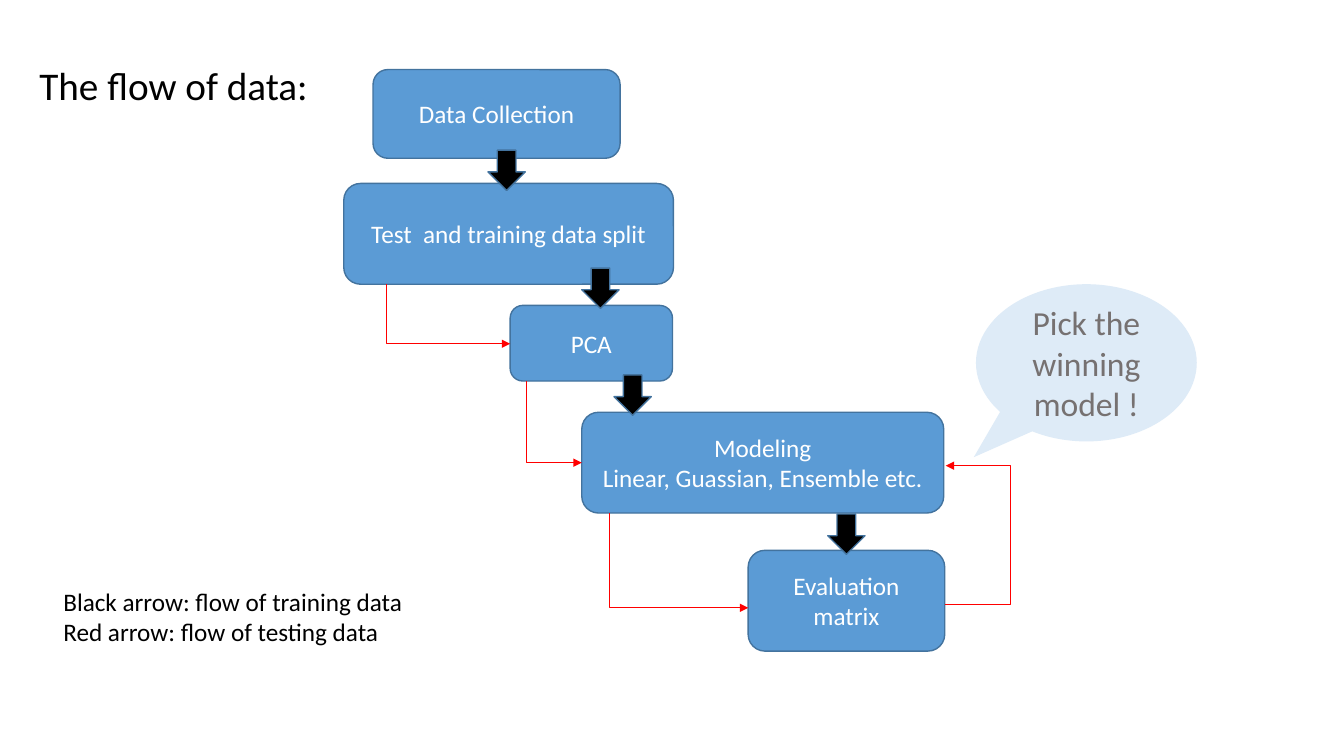
from lxml import etree
from pptx import Presentation
from pptx.dml.color import RGBColor
from pptx.enum.shapes import MSO_CONNECTOR, MSO_SHAPE
from pptx.enum.text import MSO_ANCHOR, MSO_AUTO_SIZE, PP_ALIGN
from pptx.oxml.ns import qn
from pptx.util import Inches, Pt

COLORS = {
    "step": "5B9BD5",
    "outline": "43739E",
    "training": "000000",
    "testing": "FF0000",
    "callout": "DEEBF7",
    "callout_text": "767171",
    "step_text": "FFFFFF",
    "text": "000000",
}


def write(shape, lines, size, color, align):
    frame = shape.text_frame
    frame.text = "\n".join(lines)
    frame.vertical_anchor = MSO_ANCHOR.MIDDLE
    for paragraph in frame.paragraphs:
        paragraph.alignment = align
        paragraph.font.name = "Calibri"
        paragraph.font.size = Pt(size)
        paragraph.font.color.rgb = RGBColor.from_string(COLORS[color])


def add_filled(kind, box, fill, outline=None):
    """Add a preset shape without shadow; no outline colour means no line."""
    shape = slide.shapes.add_shape(kind, *map(Inches, box))
    shape.shadow.inherit = False
    shape.fill.solid()
    shape.fill.fore_color.rgb = RGBColor.from_string(COLORS[fill])
    if outline:
        shape.line.color.rgb = RGBColor.from_string(COLORS[outline])
        shape.line.width = Pt(1)
    else:
        shape.line.fill.background()
    return shape


prs = Presentation()
prs.slide_width, prs.slide_height = Inches(13.33), Inches(7.5)
slide = prs.slides.add_slide(prs.slide_layouts[5])

heading = slide.shapes.title
heading.left, heading.top = Inches(0.29), Inches(0.56)
heading.width, heading.height = Inches(2.89), Inches(0.57)
write(heading, ["The flow of data:"], 28, "text", PP_ALIGN.LEFT)
heading.text_frame.word_wrap = False
heading.text_frame.auto_size = MSO_AUTO_SIZE.NONE

# Steps of the flow
steps = [
    (["Data Collection"], (3.7, 0.69, 2.45, 0.88)),
    (["Test  and training data split"], (3.41, 1.82, 3.27, 1)),
    (["PCA"], (5.06, 3.03, 1.61, 0.75)),
    (["Modeling", "Linear, Guassian, Ensemble etc."], (5.77, 4.09, 3.59, 1)),
    (["Evaluation matrix"], (7.42, 5.46, 1.95, 1)),
]
for lines, box in steps:
    step = add_filled(MSO_SHAPE.ROUNDED_RECTANGLE, box, "step", "outline")
    write(step, lines, 18, "step_text", PP_ALIGN.CENTER)

# Training data: block arrows
for left, top in [(4.84, 1.49), (5.77, 2.66), (6.09, 3.72), (8.21, 5.1)]:
    add_filled(MSO_SHAPE.DOWN_ARROW, (left, top, 0.37, 0.4), "training", "outline")

# Testing data: elbow arrows as start, end and x of the vertical part
testing_flows = [
    ((3.83, 2.82), (5.06, 3.41), 3.83),
    ((5.22, 3.78), (5.77, 4.59), 5.22),
    ((6.04, 5.09), (7.42, 6.03), 6.04),
    ((9.37, 6), (9.38, 4.62), 10.03),
]
for start, end, bend_x in testing_flows:
    flow = slide.shapes.add_connector(MSO_CONNECTOR.ELBOW, *map(Inches, start + end))
    flow.line.color.rgb = RGBColor.from_string(COLORS["testing"])
    flow.line.width = Pt(0.5)
    bend = round((bend_x - start[0]) / (end[0] - start[0]) * 100000)
    guides = flow._element.spPr.find(qn("a:prstGeom")).get_or_add_avLst()
    etree.SubElement(guides, qn("a:gd"), name="adj1", fmla=f"val {bend}")
    etree.SubElement(flow.line._get_or_add_ln(), qn("a:tailEnd"), type="triangle")
    etree.SubElement(flow._element.spPr, qn("a:effectLst"))

callout = add_filled(MSO_SHAPE.OVAL_CALLOUT, (9.68, 2.82, 2.19, 1.56), "callout")
callout.adjustments[0], callout.adjustments[1] = -0.51, 0.6
write(callout, ["Pick the winning model !"], 24, "callout_text", PP_ALIGN.CENTER)

legend = slide.shapes.add_textbox(*map(Inches, (0.53, 5.76, 3.6, 0.71)))
write(
    legend,
    ["Black arrow: flow of training data", "Red arrow: flow of testing data"],
    18, "text", PP_ALIGN.LEFT,
)
legend.text_frame.word_wrap = True

prs.save("out.pptx")
